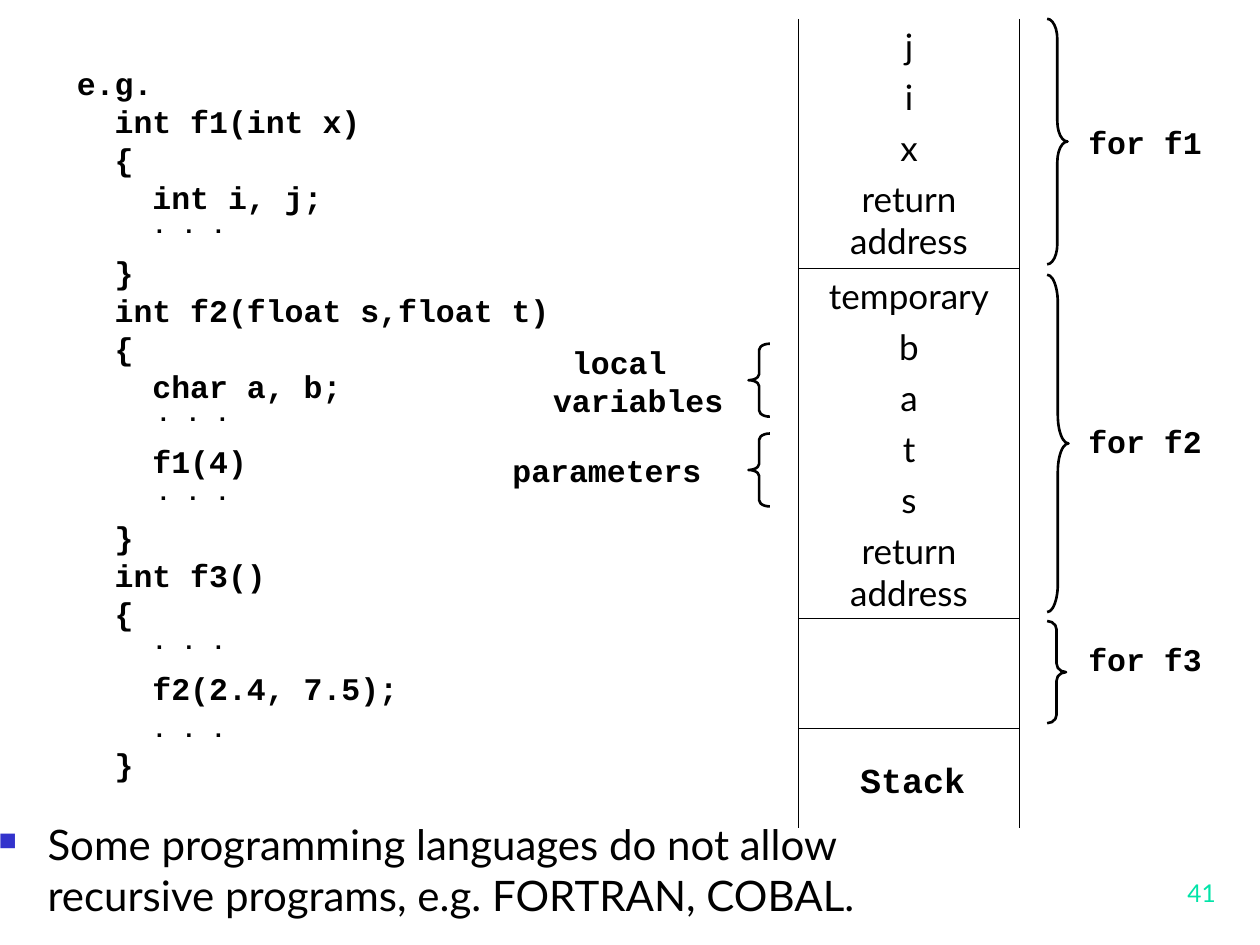
from lxml.etree import SubElement
from pptx import Presentation
from pptx.dml.color import RGBColor
from pptx.enum.shapes import MSO_SHAPE
from pptx.enum.text import MSO_ANCHOR, PP_ALIGN
from pptx.oxml.ns import qn
from pptx.util import Cm, Pt

MONO, SANS = "Courier New", "Lato"
CODE = [
    (0, "e.g."), (2, "int f1(int x)"), (2, "{"), (4, "int i, j;"), None,
    (2, "}"), (2, "int f2(float s,float t)"), (2, "{"), (4, "char a, b;"), None,
    (4, "f1(4)"), None, (2, "}"), (2, "int f3()"), (2, "{"), None,
    (4, "f2(2.4, 7.5);"), None, (2, "}"),
]
DOTS = [(1.52, 2.92), (1.6, 6.7), (1.6, 8.3), (1.52, 11.3), (1.52, 13.08)]
FRAMES = [
    (5.03, ["j", "i", "x", "return address"]),
    (7.06, ["temporary", "b", "a", "t", "s", "return address"]),
    (2.21, []),
    (2.01, []),
]


def paint(color, tone):
    """Set a colour format from a hex string."""
    color.rgb = RGBColor.from_string(tone)


def style(para, size, face, tone="000000", bold=False):
    """Set the font of a paragraph."""
    font = para.font
    font.size, font.name, font.bold = Pt(size), face, bold
    paint(font.color, tone)


def add_box(slide, box, top=0.13):
    """Add an empty wrapping text box and return its frame."""
    frame = slide.shapes.add_textbox(*map(Cm, box)).text_frame
    frame.word_wrap = True
    frame.margin_left = frame.margin_right = Cm(0.25)
    frame.margin_top, frame.margin_bottom = Cm(top), Cm(0.13)
    return frame


def add_paras(frame, texts):
    """Fill a frame with one paragraph per text and return them."""
    paras = [frame.paragraphs[0]] + [frame.add_paragraph() for _ in texts[1:]]
    for para, text in zip(paras, texts):
        para.text = text
    return paras


def add_code(slide, box, lines, size=18):
    """Add bold code whose lines are (indent in letters, text) or a gap."""
    frame = add_box(slide, box, 0.18)
    rows = [line for line in lines if line]
    paras = iter(add_paras(frame, [text for _, text in rows]))
    gap = 0
    for line in lines:
        if line is None:
            gap += 1.2 * size
            continue
        para = next(paras)
        style(para, size, MONO, bold=True)
        para.line_spacing = Pt(1.2 * size)
        para.space_before = Pt(gap)
        para._p.get_or_add_pPr().set("marL", str(Pt(0.6 * size * line[0])))
        gap = 0
    return frame


def add_list(slide, box):
    """Add the program listing with its spaced dots."""
    add_code(slide, box, CODE)
    left, top = box[:2]
    for x, y in DOTS:
        frame = add_code(slide, (left + x, top + y, 2.4, 0.96), [(0, "...")], 14)
        frame.paragraphs[0].runs[0]._r.get_or_add_rPr().set("spc", "840")


def add_edge(cell, side, width):
    """Draw one border of a cell, or none at zero width."""
    edge = SubElement(cell._tc.get_or_add_tcPr(), qn("a:" + side), w=str(Pt(width)))
    if width:
        fill = SubElement(edge, qn("a:solidFill"))
        SubElement(fill, qn("a:srgbClr"), val="000000")
    else:
        SubElement(edge, qn("a:noFill"))


def add_stack(slide, box):
    """Add the stack as an open-ended column of frames."""
    left, top, width, height = box
    table = slide.shapes.add_table(len(FRAMES), 1, *map(Cm, box)).table
    table.first_row = table.horz_banding = False
    table.columns[0].width = Cm(width)
    last = len(FRAMES) - 1
    for i, (tall, names) in enumerate(FRAMES):
        table.rows[i].height = Cm(tall)
        cell = table.cell(i, 0)
        for para in add_paras(cell.text_frame, names):
            style(para, 20, SANS)
            para.alignment, para.space_before = PP_ALIGN.CENTER, Pt(5)
        add_edge(cell, "lnL", 1.08)
        add_edge(cell, "lnR", 1.08)
        add_edge(cell, "lnT", 0.45 if i else 0)
        add_edge(cell, "lnB", 0.45 if i < last else 0)
        cell.fill.background()
    add_code(slide, (left + 0.99, top + height - 1.57, 2.8, 1.12), [(0, "Stack")], 20)


def add_brace(slide, box, kind, label, lines):
    """Add a brace and its label in the given boxes."""
    shape = slide.shapes.add_shape(kind, *map(Cm, box))
    shape.adjustments[0] = box[3] / box[2] / 12
    shape.shadow.inherit = False
    shape.fill.background()
    shape.line.width = Pt(1.5)
    paint(shape.line.color, "000000")
    add_code(slide, label, lines)


def add_note(slide, box):
    """Add the bulleted remark at the foot."""
    texts = ["Some programming languages do not allow",
             "recursive programs, e.g. FORTRAN, COBAL."]
    paras = add_paras(add_box(slide, box), texts)
    for para in paras:
        style(para, 24, SANS)
        para._p.get_or_add_pPr().set("marL", str(Cm(0.99)))
    props = paras[0]._p.get_or_add_pPr()
    props.set("indent", str(-Cm(0.99)))
    tint = props.makeelement(qn("a:buClr"), {})
    SubElement(tint, qn("a:srgbClr"), val="3333CC")
    size = props.makeelement(qn("a:buSzPct"), {"val": "60000"})
    mark = props.makeelement(qn("a:buChar"), {"char": "■"})
    for i, part in enumerate((tint, size, mark)):
        props.insert(i, part)


def add_page(slide, box):
    """Add the page number."""
    frame = add_box(slide, box)
    frame.vertical_anchor = MSO_ANCHOR.BOTTOM
    para = add_paras(frame, ["41"])[0]
    para.alignment = PP_ALIGN.RIGHT
    style(para, 14, SANS, "00E4A8")


def main():
    """Build the slide and save it."""
    deck = Presentation()
    deck.slide_width, deck.slide_height = Cm(25.4), Cm(19.05)
    slide = deck.slides.add_slide(deck.slide_layouts[6])
    add_list(slide, (1.3, 1.12, 10.6, 14.73))
    add_stack(slide, (16.1, 0.38, 4.45, 16.31))
    calls = [("for f1", 0.38, 0.41, 4.95, 2.31),
             ("for f2", 5.54, 0.43, 6.8, 8.33),
             ("for f3", 12.52, 0.38, 2.06, 12.73)]
    for name, top, width, height, y in calls:
        add_brace(slide, (21.11, top, width, height), MSO_SHAPE.RIGHT_BRACE,
                  (21.69, y, 3.05, 1.02), [(0, name)])
    parts = [(6.93, (10.9, 6.73, 4.2, 1.78), [(1, "local"), (0, "variables")]),
             (8.74, (10.08, 8.92, 4.32, 1.02), [(0, "parameters")])]
    for top, label, lines in parts:
        add_brace(slide, (15.09, top, 0.43, 1.47), MSO_SHAPE.LEFT_BRACE, label, lines)
    add_note(slide, (-0.28, 16.38, 20.6, 2.29))
    add_page(slide, (19.48, 17.15, 5.28, 1.27))
    deck.save("out.pptx")


if __name__ == "__main__":
    main()
